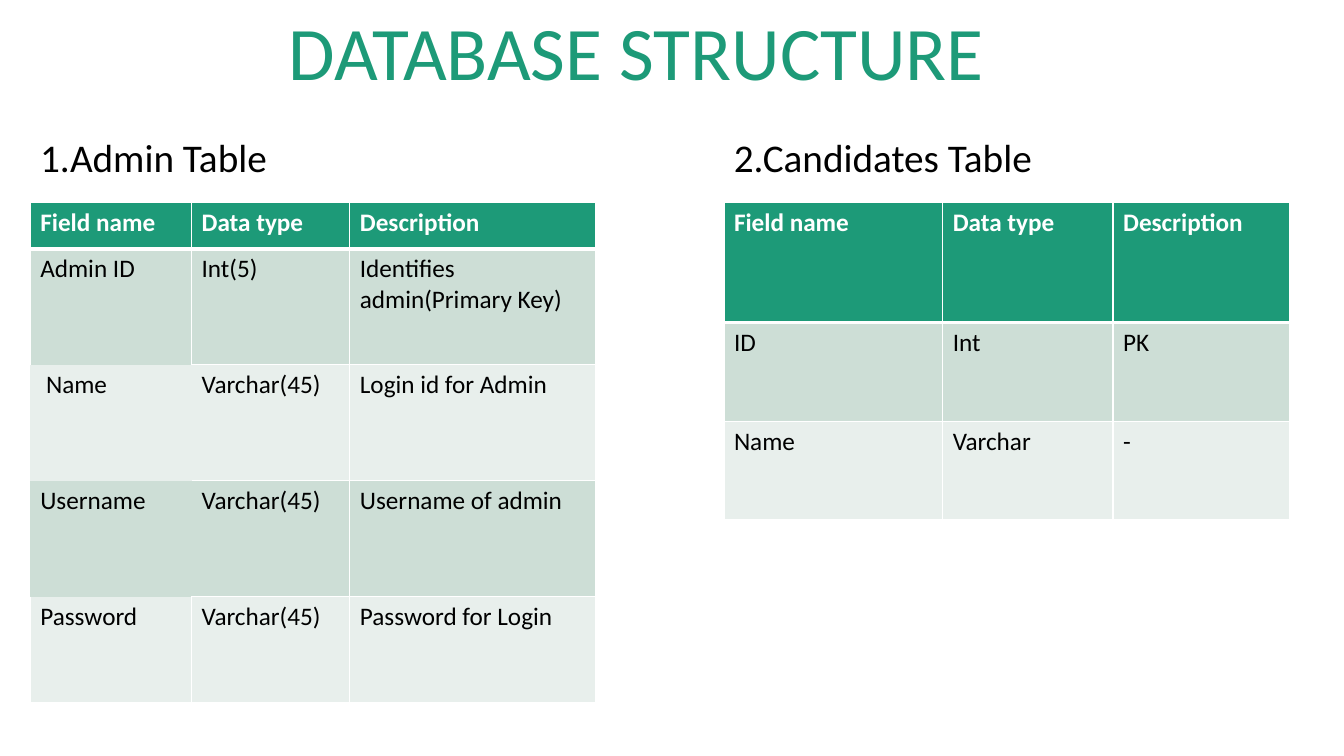
from lxml import etree
from pptx import Presentation
from pptx.dml.color import RGBColor
from pptx.enum.text import MSO_ANCHOR, MSO_AUTO_SIZE, PP_ALIGN
from pptx.oxml.ns import qn
from pptx.util import Inches, Pt

TOP, CENTER, GROW = MSO_ANCHOR.TOP, PP_ALIGN.CENTER, MSO_AUTO_SIZE.SHAPE_TO_FIT_TEXT
GREEN = RGBColor(0x1D, 0x9A, 0x78)
DARK = RGBColor(0xCD, 0xDE, 0xD6)
LIGHT = RGBColor(0xE8, 0xEF, 0xEC)
WHITE = RGBColor(0xFF, 0xFF, 0xFF)
BLACK = RGBColor(0x00, 0x00, 0x00)

# Content
TITLE = "DATABASE STRUCTURE"
HEAD = ("Field name", "Data type", "Description")
TABLES = [
    {
        "name": "1.Admin Table", "left": 0.3, "width": 4.86,
        "cols": (1.6, 1.57, 2.44), "rows": (0.46, 1.15, 1.15, 1.15, 1.05),
        "bare": {(2, 0), (3, 0)},  # cells without borders
        "data": [
            HEAD,
            ("Admin ID", "Int(5)", "Identifies \nadmin(Primary Key)"),
            (" Name", "Varchar(45)", "Login id for Admin"),
            ("Username", "Varchar(45)", "Username of admin"),
            ("Password", "Varchar(45)", "Password for Login"),
        ],
    },
    {
        "name": "2.Candidates Table", "left": 7.18, "width": 5.04,
        "cols": (2.17, 1.69, 1.75), "rows": (1.19, 0.98, 0.98),
        "bare": set(),
        "data": [HEAD, ("ID", "Int", "PK"), ("Name", "Varchar", "-")],
    },
]

# Formats
TITLE_FONT = {"name": "Calibri", "size": Pt(54), "bold": False}
NAME_FONT = {"name": "Calibri", "size": Pt(28), "bold": False}
HEAD_FONT = {"name": "Calibri", "size": Pt(18), "bold": True}
BODY_FONT = {**HEAD_FONT, "bold": False}
NAME_TOP, TABLE_TOP = 1.27, 2.01
SIDES = {"L": (0, -1), "R": (0, 1), "T": (-1, 0), "B": (1, 0)}


def style(frame, font, color):
    for para in frame.paragraphs:
        for run in para.runs:
            for key, value in font.items():
                setattr(run.font, key, value)
            run.font.color.rgb = color


def border(cell, side, width, shown):
    props = cell._tc.get_or_add_tcPr()
    line = etree.SubElement(props, qn("a:ln" + side), w=str(Pt(width)))
    if shown:
        fill = etree.SubElement(line, qn("a:solidFill"))
        etree.SubElement(fill, qn("a:srgbClr"), val=str(WHITE))
    else:
        etree.SubElement(line, qn("a:noFill"))


def add_table(slide, item):
    cols, rows, bare = item["cols"], item["rows"], item["bare"]
    table = slide.shapes.add_table(
        len(rows), len(cols), Inches(item["left"]), Inches(TABLE_TOP),
        Inches(sum(cols)), Inches(sum(rows))).table
    for col, width in zip(table.columns, cols):
        col.width = Inches(width)
    for row, height in zip(table.rows, rows):
        row.height = Inches(height)
    for r, texts in enumerate(item["data"]):
        for c, text in enumerate(texts):
            cell = table.cell(r, c)
            cell.text = text
            style(cell.text_frame, BODY_FONT if r else HEAD_FONT,
                  BLACK if r else WHITE)
            # An edge is hidden when either cell that shares it is bare
            for side, (down, right) in SIDES.items():
                heavy = (r, side) in ((0, "B"), (1, "T"))
                shown = not bare & {(r, c), (r + down, c + right)}
                border(cell, side, 3 if heavy else 1, shown)
            cell.fill.solid()
            cell.fill.fore_color.rgb = (DARK if r % 2 else LIGHT) if r else GREEN


def main():
    deck = Presentation()
    deck.slide_width, deck.slide_height = Inches(13.33), Inches(7.5)
    slide = deck.slides.add_slide(deck.slide_layouts[5])

    # Title
    title = slide.shapes.title
    title.left, title.top = Inches(2.73), Inches(0)
    title.width, title.height = Inches(7.17), Inches(1.01)
    frame = title.text_frame
    frame.text = TITLE
    frame.word_wrap, frame.auto_size = False, GROW
    frame.vertical_anchor = TOP
    frame.paragraphs[0].alignment = CENTER
    style(frame, TITLE_FONT, GREEN)

    # Tables with their names above
    for item in TABLES:
        add_table(slide, item)
        label = slide.shapes.add_textbox(
            Inches(item["left"]), Inches(NAME_TOP),
            Inches(item["width"]), Inches(0.57))
        frame = label.text_frame
        frame.text = item["name"]
        frame.word_wrap, frame.auto_size = True, GROW
        style(frame, NAME_FONT, BLACK)

    deck.save("out.pptx")


if __name__ == "__main__":
    main()
